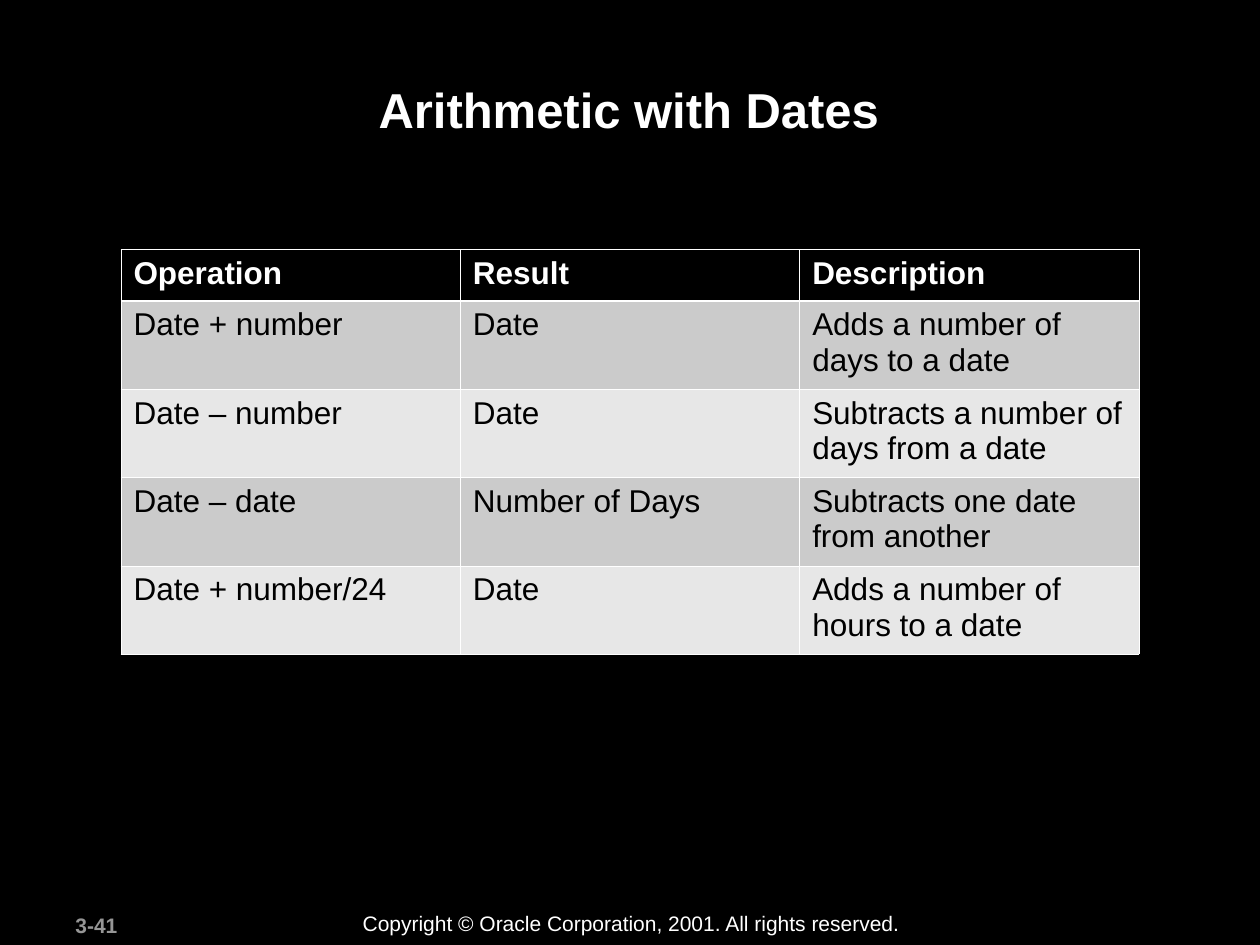
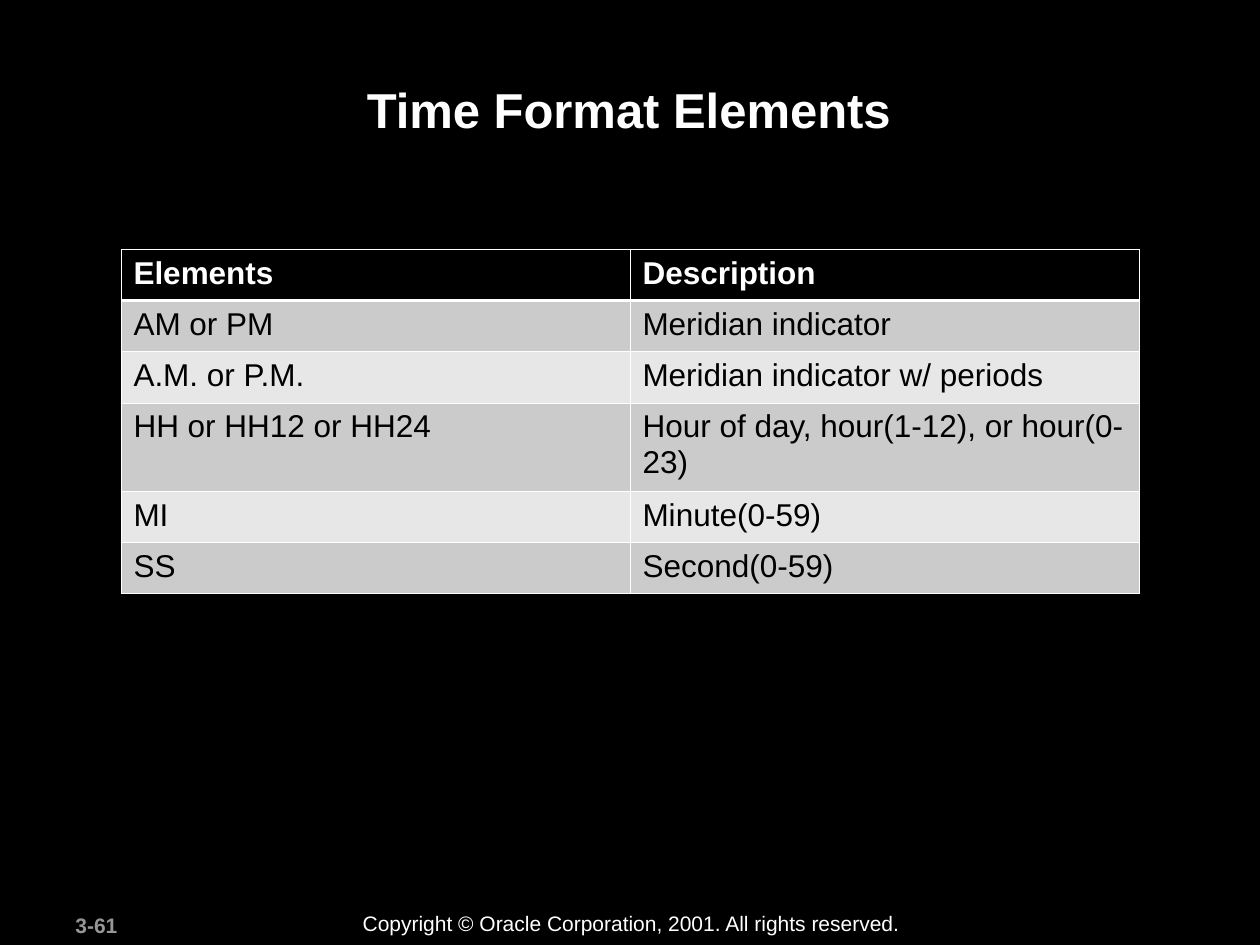
from lxml import etree
from pptx import Presentation
from pptx.dml.color import RGBColor
from pptx.enum.text import PP_ALIGN
from pptx.oxml.ns import qn
from pptx.util import Inches, Pt

LEFT, CENTER = PP_ALIGN.LEFT, PP_ALIGN.CENTER
BLANK = 6
FONT = "Arial"
HUES = {"black": "000000", "white": "FFFFFF", "grey": "969696",
        "dark": "CBCBCB", "light": "E7E7E7"}
TITLE = {"size": 28, "bold": True, "color": "white"}
PAGE = {"size": 12, "bold": True, "color": "grey"}
RIGHTS = {"size": 12, "bold": False, "color": "white"}
HEAD = {"size": 18, "bold": True, "color": "white"}
BODY = {"size": 18, "bold": False, "color": "black"}
THIN, THICK = 0.45, 1.47
TALL = 0.7

DATES = [
    ["Operation", "Result", "Description"],
    ["Date + number", "Date", "Adds a number of days to a date"],
    ["Date – number", "Date", "Subtracts a number of days from a date"],
    ["Date – date", "Number of Days", "Subtracts one date from another"],
    ["Date + number/24", "Date", "Adds a number of hours to a date"],
]
TIMES = [
    ["Elements", "Description"],
    ["AM or PM", "Meridian indicator"],
    ["A.M. or P.M.", "Meridian indicator w/ periods"],
    ["HH or HH12 or HH24", "Hour of day, hour(1-12), or hour(0-23)"],
    ["MI", "Minute(0-59)"],
    ["SS", "Second(0-59)"],
]


def rgb(name):
    return RGBColor.from_string(HUES[name])


def write(frame, text, style, align=LEFT):
    para = frame.paragraphs[0]
    para.alignment = align
    run = para.add_run()
    run.text = text
    form = {"name": FONT, "size": Pt(style["size"]), "bold": style["bold"]}
    for key, value in form.items():
        setattr(run.font, key, value)
    run.font.color.rgb = rgb(style["color"])


def label(slide, box, text, style, align=LEFT, wrap=False):
    frame = slide.shapes.add_textbox(*map(Inches, box)).text_frame
    frame.word_wrap = wrap
    write(frame, text, style, align)


def edge(cell, widths):
    """Draw white borders; widths maps each side (L, R, T, B) to points."""
    props = cell._tc.get_or_add_tcPr()
    for spot, (side, width) in enumerate(widths.items()):
        line = etree.Element(qn("a:ln" + side), w=str(Pt(width)))
        fill = etree.SubElement(line, qn("a:solidFill"))
        etree.SubElement(fill, qn("a:srgbClr"), val=HUES["white"])
        props.insert(spot, line)


def grid(slide, box, data, tall):
    """Fill the box with a banded table; short rows share what tall rows leave."""
    left, top, width, height = box
    rows, cols = len(data), len(data[0])
    short = (height - TALL * len(tall)) / (rows - len(tall))
    table = slide.shapes.add_table(rows, cols, *map(Inches, box)).table
    for col in table.columns:
        col.width = Inches(width / cols)
    for r, texts in enumerate(data):
        table.rows[r].height = Inches(TALL if r in tall else short)
        hue = "black" if r == 0 else "dark" if r % 2 else "light"
        for c, text in enumerate(texts):
            cell = table.cell(r, c)
            cell.fill.solid()
            cell.fill.fore_color.rgb = rgb(hue)
            write(cell.text_frame, text, BODY if r else HEAD)
            edge(cell, {"L": THIN, "R": THIN,
                        "T": THICK if r == 1 else THIN,
                        "B": THICK if r == 0 else THIN})


def footer(slide, page):
    label(slide, (0.5, 7.19, 1.05, 0.3), page, PAGE, wrap=True)
    label(slide, (2.78, 7.18, 4.48, 0.3),
          "Copyright © Oracle Corporation, 2001. All rights reserved.", RIGHTS)


def sheet(deck, title, page, data, height, tall):
    """Add a slide with a title, one table and the footer."""
    slide = deck.slides.add_slide(deck.slide_layouts[BLANK])
    slide.background.fill.solid()
    slide.background.fill.fore_color.rgb = rgb("black")
    footer(slide, page)
    label(slide, (0.94, 0.58, 8.1, 0.96), title, TITLE, CENTER, True)
    grid(slide, (0.96, 1.98, 8.08, height), data, tall)


def main():
    deck = Presentation()
    deck.slide_width, deck.slide_height = Inches(10), Inches(7.5)
    sheet(deck, "Arithmetic with Dates", "3-41", DATES, 3.21, range(1, 5))
    sheet(deck, "Time Format Elements", "3-61", TIMES, 2.73, [3])
    deck.save("out.pptx")


if __name__ == "__main__":
    main()
